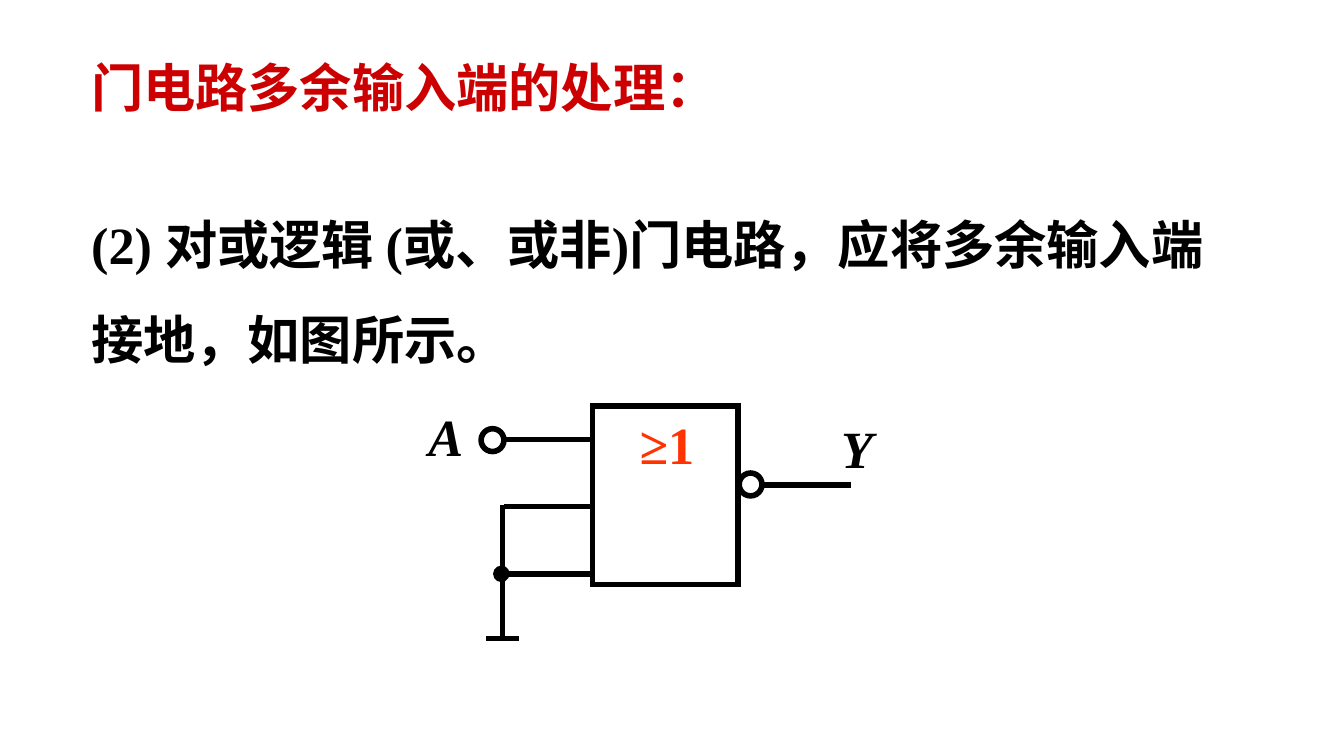
from lxml import etree
from pptx import Presentation
from pptx.dml.color import RGBColor
from pptx.enum.shapes import MSO_CONNECTOR, MSO_SHAPE
from pptx.oxml.ns import qn
from pptx.util import Inches, Pt

BLACK = RGBColor(0x00, 0x00, 0x00)
RED = RGBColor(0xCC, 0x00, 0x00)
ORANGE = RGBColor(0xFF, 0x33, 0x00)
FONT = "Times New Roman"


def add_text(slide, box, text, color=BLACK, italic=False, spacing=None, wrap=True):
    frame = slide.shapes.add_textbox(*map(Inches, box)).text_frame
    frame.word_wrap = wrap
    para = frame.paragraphs[0]
    if spacing:
        para.line_spacing = spacing
    run = para.add_run()
    run.text = text
    font = run.font
    font.name, font.size, font.bold, font.italic = FONT, Pt(28), True, italic
    font.color.rgb = color


def add_part(slide, kind, box, fill=None):
    """Add a shape with a black outline and square corners."""
    shape = slide.shapes.add_shape(kind, *map(Inches, box))
    shape.shadow.inherit = False
    if fill is None:
        shape.fill.background()
    else:
        shape.fill.solid()
        shape.fill.fore_color.rgb = fill
    shape.line.color.rgb = BLACK
    shape.line.width = Pt(3)
    outline = shape._element.spPr.find(qn("a:ln"))
    etree.SubElement(outline, qn("a:miter"), lim="800000")


def add_wire(slide, x1, y1, x2, y2):
    wire = slide.shapes.add_connector(
        MSO_CONNECTOR.STRAIGHT, *map(Inches, (x1, y1, x2, y2)))
    wire.line.color.rgb = BLACK
    wire.line.width = Pt(3)
    props = wire._element.find(qn("p:spPr"))
    etree.SubElement(props, qn("a:effectLst"))


def add_notes(slide, left, top, width):
    """Place the red heading and the rule below it."""
    add_text(slide, (left, top, width - 0.6, 0.57), "门电路多余输入端的处理：", RED)
    add_text(slide, (left, top + 0.94, width, 1.51),
             "(2) 对或逻辑 (或、或非)门电路，应将多余输入端接地，如图所示。",
             spacing=1.5)


def add_gate(slide, left, top):
    """Draw the NOR gate, with left and top as the corner of its body."""
    width, height, lead, ring = 1.08, 1.33, 0.66, 0.17
    start = left - lead
    first, pitch = top + 0.25, 0.5
    last = first + 2 * pitch
    ground = top + 1.73
    out = top + 0.59
    right = left + width

    add_part(slide, MSO_SHAPE.RECTANGLE, (left, top, width, height))
    for i in range(3):
        y = first + i * pitch
        add_wire(slide, start, y, left, y)
    add_wire(slide, start - 0.01, ground - 0.01, start - 0.01, first + pitch - 0.01)
    add_wire(slide, start - 0.13, ground, start + 0.11, ground)
    add_part(slide, MSO_SHAPE.OVAL, (start - ring, first - 0.08, ring, ring))
    add_part(slide, MSO_SHAPE.OVAL, (right + 0.01, out - 0.09, ring, ring))
    add_wire(slide, right + ring, out, right + ring + lead + 0.01, out)

    add_text(slide, (left + 0.25, top, 0.72, 0.57), "≥1", ORANGE)
    add_text(slide, (left + 1.75, top + 0.03, 0.5, 0.57), "Y", italic=True)
    add_text(slide, (left - 1.32, top - 0.06, 0.44, 0.57), "A", italic=True, wrap=False)
    add_part(slide, MSO_SHAPE.OVAL, (start - 0.06, last - 0.04, 0.08, 0.08), BLACK)


def main():
    deck = Presentation()
    deck.slide_width = Inches(10)
    deck.slide_height = deck.slide_width * 9 // 16
    slide = deck.slides.add_slide(deck.slide_layouts[6])
    add_notes(slide, 0.58, 0.36, 8.61)
    add_gate(slide, 4.41, 3.02)
    deck.save("out.pptx")


if __name__ == "__main__":
    main()
